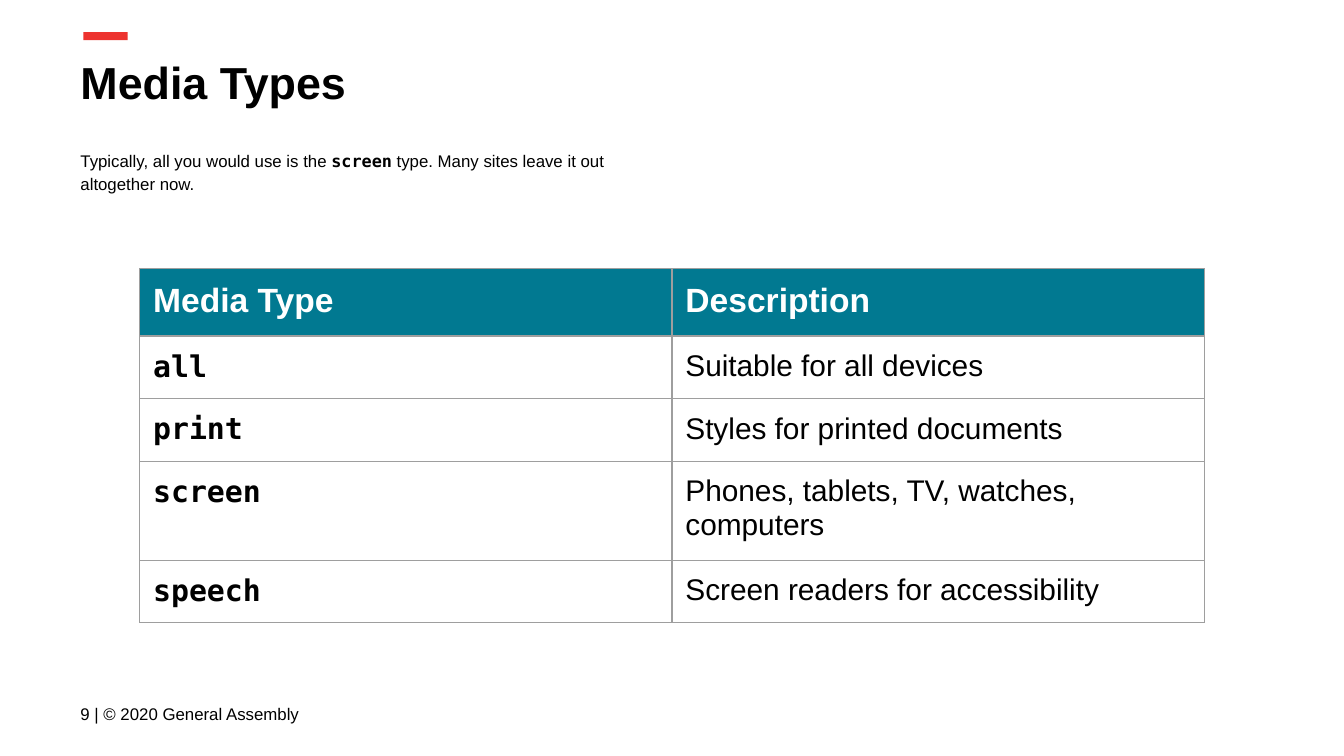
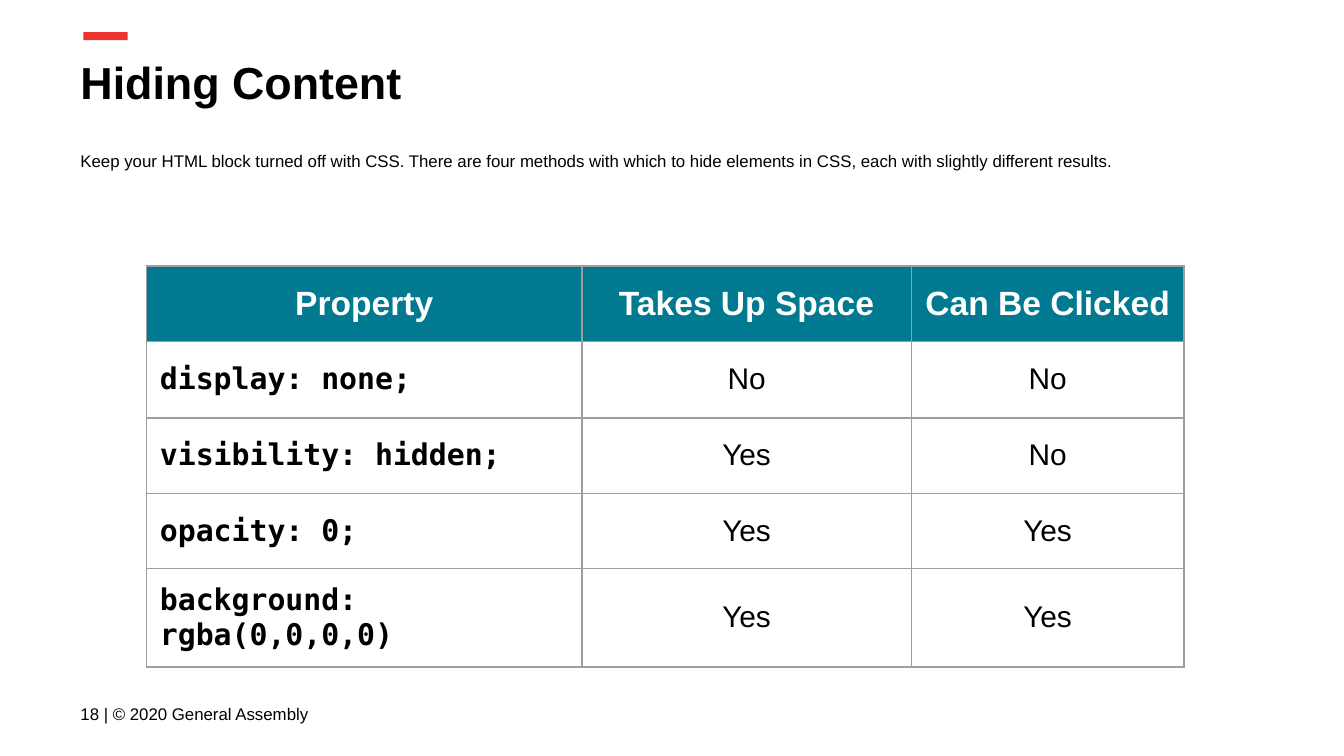
import dataclasses

import pptx
import pptx.dml.color
import pptx.enum.shapes
import pptx.enum.text
import pptx.oxml.ns
import pptx.util
from lxml import etree

Inches = pptx.util.Inches
Pt = pptx.util.Pt
RGB = pptx.dml.color.RGBColor.from_string
ALIGN = pptx.enum.text.PP_ALIGN
ANCHOR = pptx.enum.text.MSO_ANCHOR


@dataclasses.dataclass(frozen=True)
class Theme:
    ink: str = "000000"
    paper: str = "FFFFFF"
    accent: str = "ED332F"
    header: str = "017991"
    border: str = "9E9E9E"
    sans: str = "Arial"
    mono: str = "DejaVu Sans Mono"
    title_size: int = 24
    header_size: int = 18
    cell_size: int = 16
    small_size: int = 9
    border_width: float = 0.75
    inset: float = 0.1


THEME = Theme()


def add_run(p, text, size, color=THEME.ink, bold=False, code=False):
    r = p.add_run()
    r.text = text
    r.font.name = THEME.mono if code else THEME.sans
    r.font.size = Pt(size)
    r.font.bold = bold or code
    r.font.color.rgb = RGB(color)


def add_text_box(s, box, anchor=ANCHOR.TOP):
    tf = s.shapes.add_textbox(*map(Inches, box)).text_frame
    tf.word_wrap = True
    tf.vertical_anchor = anchor
    tf.margin_left = tf.margin_right = Inches(THEME.inset)
    tf.margin_top = tf.margin_bottom = Inches(THEME.inset)
    return tf.paragraphs[0]


def add_header(s, box, title):
    left, top, width, height = box
    bar = s.shapes.add_shape(
        pptx.enum.shapes.MSO_SHAPE.RECTANGLE,
        Inches(left + 0.12), Inches(top - 0.07), Inches(0.33), Inches(0.06))
    bar.shadow.inherit = False
    bar.fill.solid()
    bar.fill.fore_color.rgb = RGB(THEME.accent)
    bar.line.fill.background()
    add_run(add_text_box(s, box), title, THEME.title_size, bold=True)


def add_intro(s, box, lines):
    p = add_text_box(s, box)
    p.line_spacing = 1.15
    for i, line in enumerate(lines):
        if i:
            p.add_line_break()
        for text, code in line:
            add_run(p, text, THEME.small_size, code=code)


def add_footer(s, box, number):
    p = add_text_box(s, box, ANCHOR.MIDDLE)
    add_run(p, f"{number} | © 2020 General Assembly", THEME.small_size)


def set_borders(cell):
    tc_pr = cell._tc.get_or_add_tcPr()
    for side in ("lnL", "lnR", "lnT", "lnB"):
        ln = etree.SubElement(tc_pr, pptx.oxml.ns.qn(f"a:{side}"),
                              w=str(Pt(THEME.border_width)))
        fill = etree.SubElement(ln, pptx.oxml.ns.qn("a:solidFill"))
        etree.SubElement(fill, pptx.oxml.ns.qn("a:srgbClr"), val=THEME.border)


def fill_cell(cell, text, is_header, is_code, anchor, align):
    set_borders(cell)
    cell.margin_left = cell.margin_right = Inches(THEME.inset)
    cell.margin_top = cell.margin_bottom = Inches(THEME.inset)
    cell.vertical_anchor = anchor
    p = cell.text_frame.paragraphs[0]
    p.alignment = align
    if is_header:
        cell.fill.solid()
        cell.fill.fore_color.rgb = RGB(THEME.header)
        add_run(p, text, THEME.header_size, THEME.paper, bold=True)
    else:
        cell.fill.background()
        add_run(p, text, THEME.cell_size, code=is_code)


def add_grid(s, box, widths, heights, rows, centred=False):
    frame = s.shapes.add_table(len(rows), len(widths), *map(Inches, box))
    table = frame.table
    table.horz_banding = False
    for column, width in zip(table.columns, widths):
        column.width = Inches(width)
    for table_row, height in zip(table.rows, heights):
        table_row.height = Inches(height)
    frame.width, frame.height = map(Inches, box[2:])
    anchor = ANCHOR.MIDDLE if centred else ANCHOR.TOP
    for i, row in enumerate(rows):
        for j, text in enumerate(row):
            is_header = i == 0
            is_code = j == 0 and not is_header
            align = ALIGN.CENTER if centred and not is_code else ALIGN.LEFT
            fill_cell(table.cell(i, j), text, is_header, is_code, anchor, align)


def add_content_slide(prs, number, title, intro_box, intro, grid):
    s = prs.slides.add_slide(prs.slide_layouts[6])
    add_header(s, (0.5, 0.31, 9.32, 0.63), title)
    add_intro(s, intro_box, intro)
    add_footer(s, (0.5, 5.1, 2.59, 0.43), number)
    add_grid(s, **grid)


def main():
    prs = pptx.Presentation()
    prs.slide_width = Inches(10)
    prs.slide_height = Inches(10 * 9 / 16)
    add_content_slide(
        prs, 9, "Media Types", (0.5, 1, 8.99, 1),
        [[("Typically, all you would use is the ", False), ("screen", True),
          (" type. Many sites leave it out ", False)],
         [("altogether now.", False)]],
        dict(box=(1.04, 2, 3.28, 3.28), widths=(3.96, 3.96),
             heights=[0.42] * 5, rows=[
                 ("Media Type", "Description"),
                 ("all", "Suitable for all devices"),
                 ("print", "Styles for printed documents"),
                 ("screen", "Phones, tablets, TV, watches, computers"),
                 ("speech", "Screen readers for accessibility"),
             ]))
    add_content_slide(
        prs, 18, "Hiding Content", (0.5, 1.01, 8.99, 0.75),
        [[("Keep your HTML block turned off with CSS. There are four methods "
           "with which to hide elements in CSS, each with slightly different "
           "results.", False)]],
        dict(box=(1.09, 1.98, 3.28, 3.28), widths=(3.24, 2.45, 2.03),
             heights=(0.56, 0.57, 0.56, 0.56, 0.56), centred=True, rows=[
                 ("Property", "Takes Up Space", "Can Be Clicked"),
                 ("display: none;", "No", "No"),
                 ("visibility: hidden;", "Yes", "No"),
                 ("opacity: 0;", "Yes", "Yes"),
                 ("background: rgba(0,0,0,0)", "Yes", "Yes"),
             ]))
    prs.save("out.pptx")


if __name__ == "__main__":
    main()
